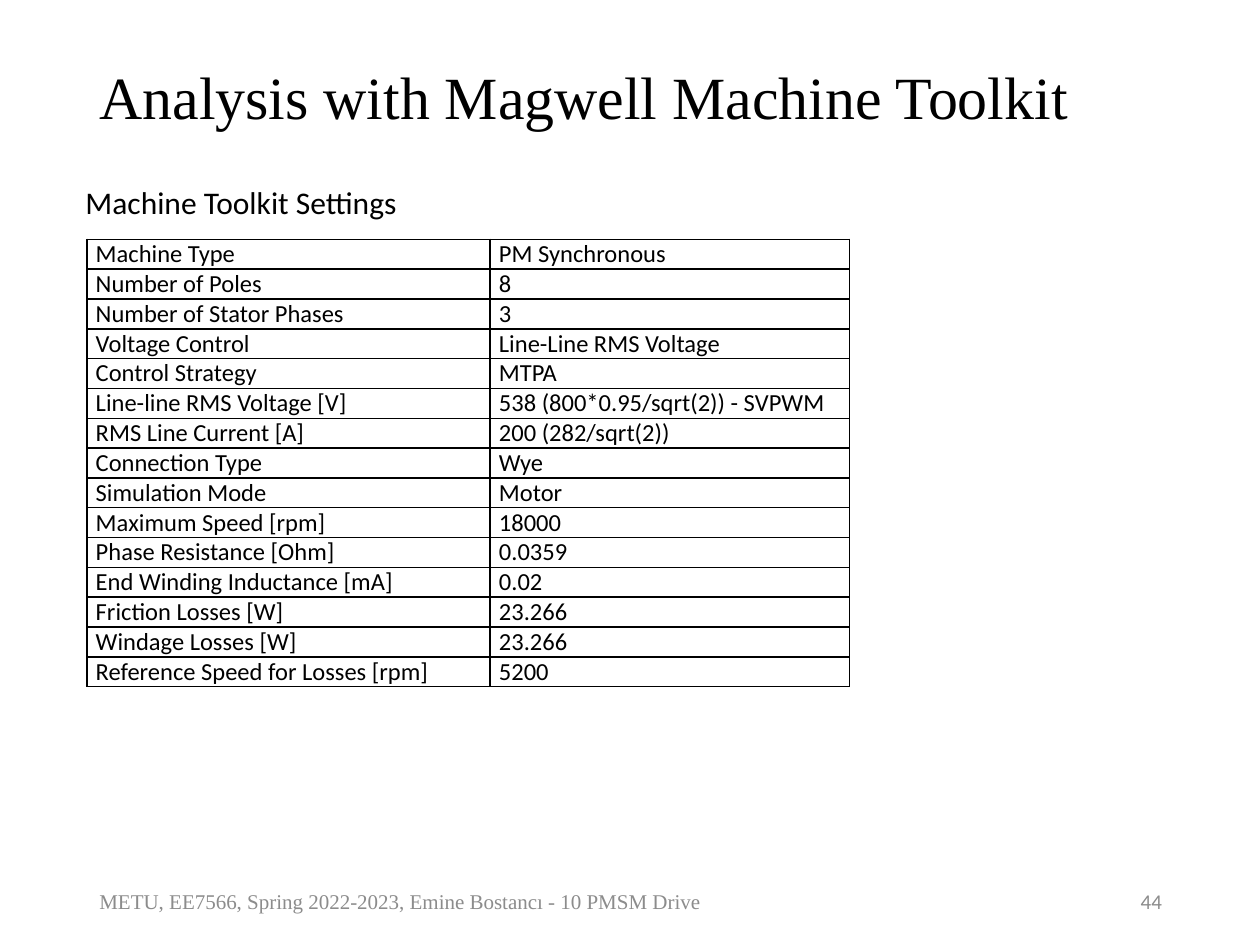
from lxml import etree
from pptx import Presentation
from pptx import util as u
from pptx.dml.color import RGBColor
from pptx.enum import text
from pptx.oxml.ns import qn

BLACK, GRAY = "000000", "8C8C8C"
SERIF, SANS = "Times New Roman", "Calibri"


def write(tf, words, size, font, color=BLACK, align=text.PP_ALIGN.LEFT):
    p = tf.paragraphs[0]
    p.text = words
    p.alignment = align
    p.font.size = u.Pt(size)
    p.font.name = font
    p.font.color.rgb = RGBColor.from_string(color)
    return p


def add_border(cell, side):
    """Draw a 1 pt black line on one side: lnL, lnR, lnT or lnB."""
    ln = etree.SubElement(cell._tc.get_or_add_tcPr(), qn(f"a:{side}"), w=str(u.Pt(1)))
    fill = etree.SubElement(ln, qn("a:solidFill"))
    etree.SubElement(fill, qn("a:srgbClr"), val=BLACK)


prs = Presentation()
prs.slide_width, prs.slide_height = u.Inches(10), u.Inches(7.5)
s = prs.slides.add_slide(prs.slide_layouts[6])

# Title, footer, page number and table heading
labels = [
    ((0.69, 0.4, 8.62, 0.79), "Analysis with Magwell Machine Toolkit", 34.2, SERIF, BLACK),
    ((0.69, 6.95, 8.02, 0.4),
     "METU, EE7566, Spring 2022-2023, Emine Bostancı - 10 PMSM Drive", 12, SERIF, GRAY),
    ((8.82, 6.95, 0.5, 0.4), "44", 12, SANS, GRAY),
    ((0.58, 1.4, 2.71, 0.4), "Machine Toolkit Settings", 18, SANS, BLACK),
]
for box, words, size, font, color in labels:
    tf = s.shapes.add_textbox(*map(u.Inches, box)).text_frame
    tf.word_wrap = words != "Machine Toolkit Settings"
    tf.vertical_anchor = text.MSO_ANCHOR.MIDDLE
    p = write(tf, words, size, font, color)
    if words == "44":
        p.alignment = text.PP_ALIGN.RIGHT
    if size > 30:
        p.line_spacing = 0.9

settings = [
    ("Machine Type", "PM Synchronous"),
    ("Number of Poles", "8"),
    ("Number of Stator Phases", "3"),
    ("Voltage Control", "Line-Line RMS Voltage"),
    ("Control Strategy", "MTPA"),
    ("Line-line RMS Voltage [V]", "538 (800*0.95/sqrt(2)) - SVPWM"),
    ("RMS Line Current [A]", "200 (282/sqrt(2))"),
    ("Connection Type", "Wye"),
    ("Simulation Mode", "Motor"),
    ("Maximum Speed [rpm]", "18000"),
    ("Phase Resistance [Ohm]", "0.0359"),
    ("End Winding Inductance [mA]", "0.02"),
    ("Friction Losses [W]", "23.266"),
    ("Windage Losses [W]", "23.266"),
    ("Reference Speed for Losses [rpm]", "5200"),
]
table = s.shapes.add_table(len(settings), 2, u.Inches(0.69), u.Inches(1.9),
                           u.Inches(6.05), u.Inches(3.55)).table
table.first_row = table.horz_banding = False
table.columns[0].width, table.columns[1].width = u.Inches(3.2), u.Inches(2.85)
for row, values in zip(table.rows, settings):
    for cell, value in zip(row.cells, values):
        cell.margin_left = cell.margin_right = u.Inches(0.07)
        cell.margin_top = cell.margin_bottom = 0
        for side in ("lnL", "lnR", "lnT", "lnB"):
            add_border(cell, side)
        cell.fill.background()
        write(cell.text_frame, value, 14, SANS, align=text.PP_ALIGN.JUSTIFY)

prs.save("out.pptx")
